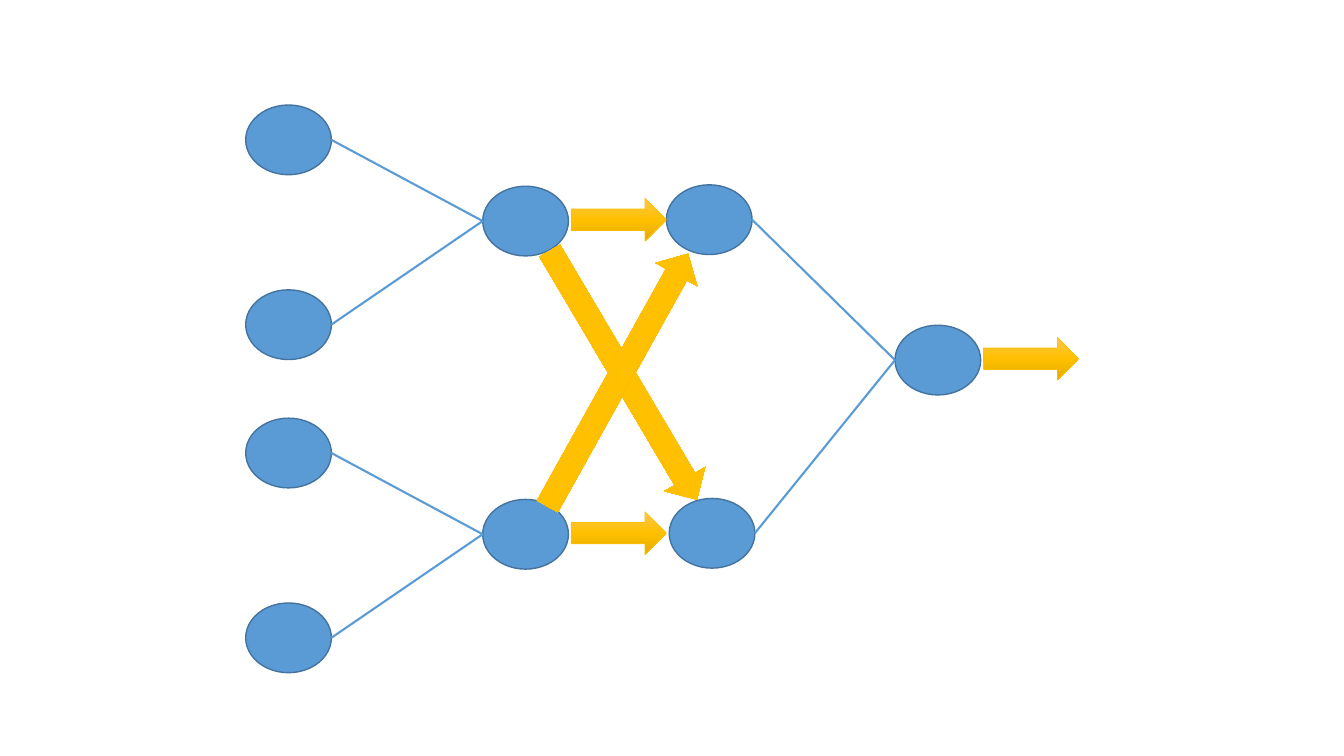
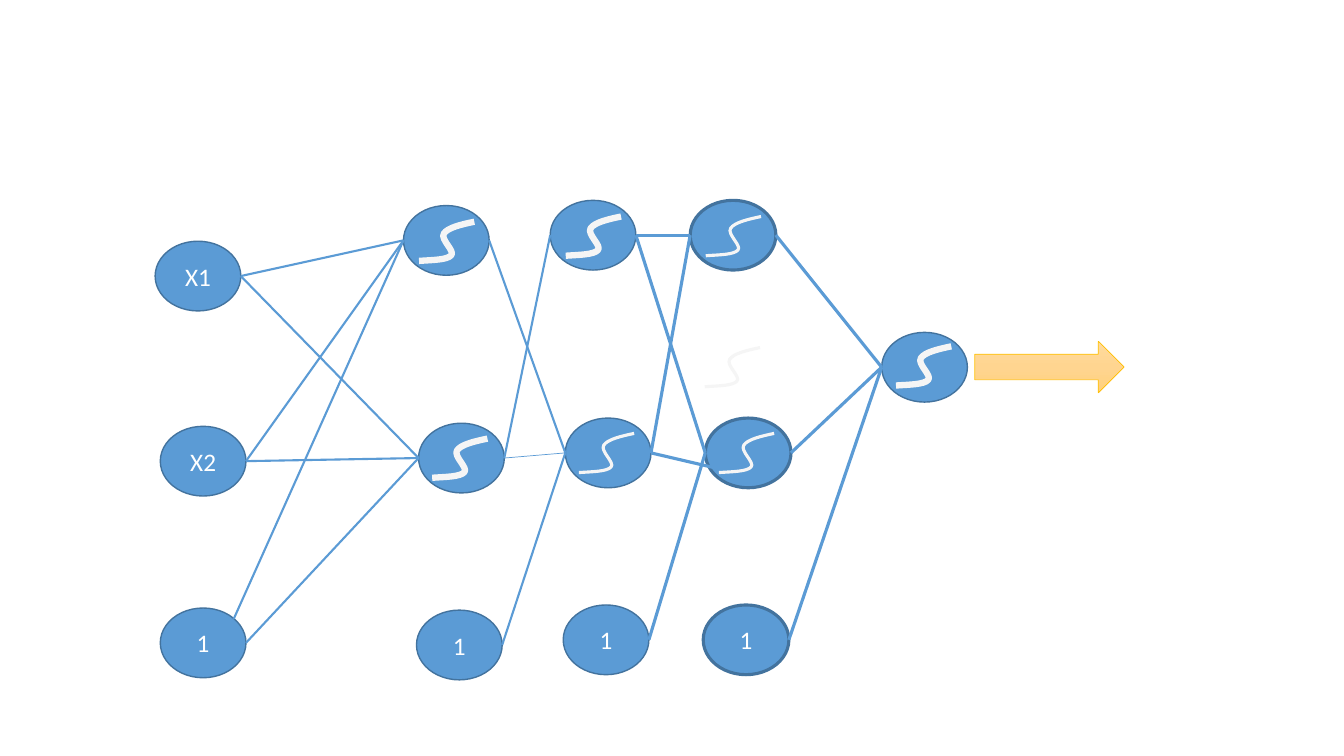
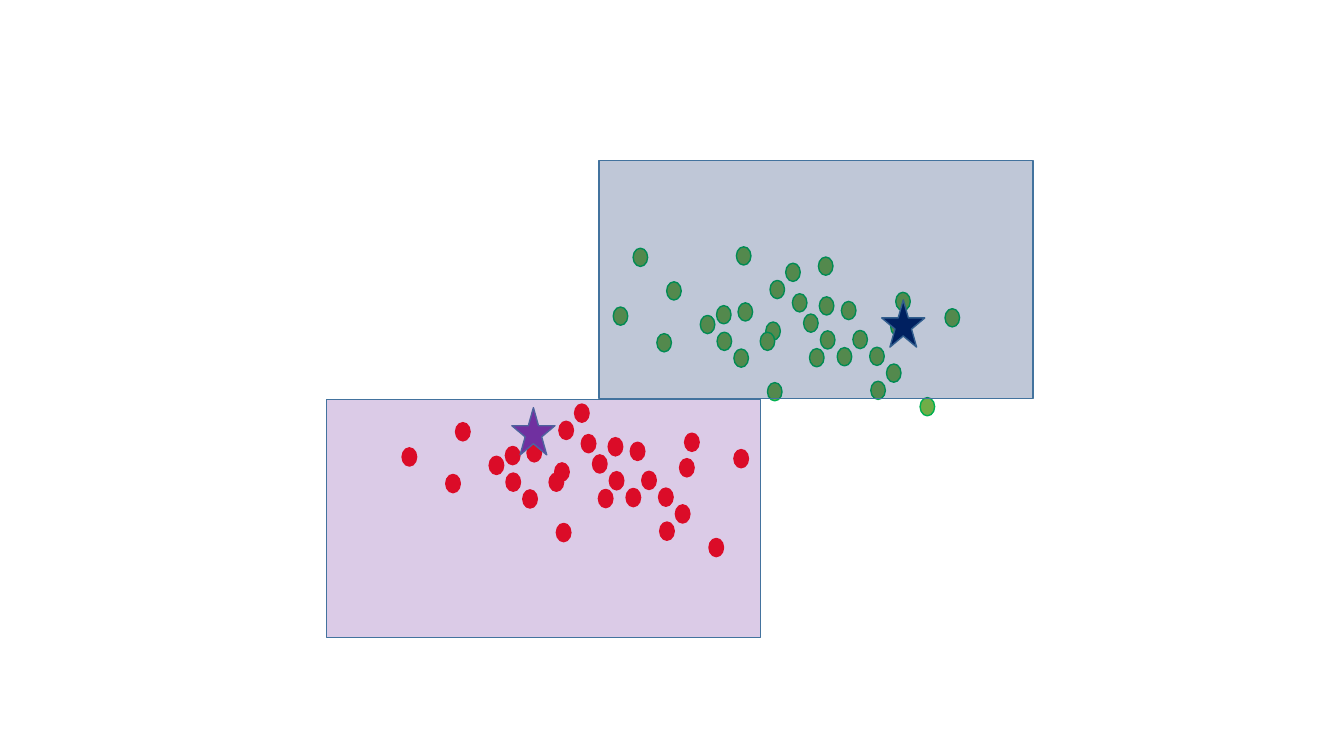
from copy import deepcopy

from pptx import Presentation
from pptx.dml.color import RGBColor
from pptx.enum.shapes import MSO_CONNECTOR as Link, MSO_SHAPE as Preset
from pptx.enum.text import MSO_ANCHOR as Anchor, PP_ALIGN as Align
from pptx.oxml.ns import qn
from pptx.oxml.xmlchemy import OxmlElement
from pptx.util import Pt

# Shared style
BLUE, EDGE, WHITE, PALE = "5B9BD5", "43739E", "FFFFFF", "F5F5F5"
GOLD, GREEN, GREEN_EDGE, RED = "FFC000", "70AD47", "00B050", "FF0000"
PURPLE, NAVY = "7030A0", "002060"
STRONG_GOLD = ("FFC64B", GOLD, "E3AB00")
SOFT_GOLD = ("FFDB9E", "FFD590", "FFD07C")
NODE_W, NODE_H = 61.2, 49.8
DOT_W, DOT_H = 10.4, 13
BOLD_LINE = 2.25

# Sigmoid outline: a start point, then cubic segments of three points
SIGMOID = [(39.5, 0), (30, 2), (20.5, 4.3), (17.8, 8.4), (15, 12.5),
           (26, 21), (23, 24), (20, 27.3), (10, 27.3), (0, 28)]


def color(value):
    return RGBColor.from_string(value)


def write(shape, text, size=18, font="Calibri", ink=WHITE, align=Align.CENTER):
    frame = shape.text_frame
    frame.vertical_anchor = Anchor.MIDDLE
    para = frame.paragraphs[0]
    para.alignment = align
    span = para.add_run()
    span.text = text
    span.font.size = Pt(size)
    span.font.name = font
    span.font.color.rgb = color(ink)


def left(node):
    return node.left.pt, node.top.pt + NODE_H / 2


def right(node):
    return node.left.pt + NODE_W, node.top.pt + NODE_H / 2


def curve_lines(shape):
    """Turn each three line segments of a freeform into one cubic curve."""
    lines = list(shape._element.iter(qn("a:lnTo")))
    for first in range(0, len(lines), 3):
        cubic = OxmlElement("a:cubicBezTo")
        lines[first].addprevious(cubic)
        for line in lines[first:first + 3]:
            cubic.append(line[0])
            line.getparent().remove(line)


class Deck:
    def __init__(self):
        self.file = Presentation()
        self.file.slide_width, self.file.slide_height = Pt(960), Pt(540)
        self.page = None

    def new_page(self):
        self.page = self.file.slides.add_slide(self.file.slide_layouts[6])

    def shape(self, preset, x, y, width, height, fill=None, line=EDGE,
              weight=1, alpha=None):
        box = self.page.shapes.add_shape(preset, Pt(x), Pt(y), Pt(width), Pt(height))
        box.shadow.inherit = False
        box.line.color.rgb = color(line)
        box.line.width = Pt(weight)
        if fill:
            box.fill.solid()
            box.fill.fore_color.rgb = color(fill)
        if alpha:
            mark = OxmlElement("a:alpha")
            mark.set("val", str(alpha * 1000))
            box._element.spPr.find(qn("a:solidFill"))[0].append(mark)
        return box

    def node(self, x, y, text=None, weight=1):
        oval = self.shape(Preset.OVAL, x, y, NODE_W, NODE_H, BLUE, weight=weight)
        if text:
            write(oval, text)
        return oval

    def dot(self, x, y, fill, line):
        self.shape(Preset.OVAL, x, y, DOT_W, DOT_H, fill, line)

    def arrow(self, x, y, width=68, height=30.5, turn=0, shades=STRONG_GOLD):
        box = self.shape(Preset.RIGHT_ARROW, x, y, width, height, line=GOLD, weight=0.5)
        box.rotation = turn
        box.fill.gradient()
        box.fill.gradient_angle = 270
        stops = box._element.spPr.find(".//" + qn("a:gsLst"))
        stops.append(deepcopy(stops[0]))
        for index, stop in enumerate(box.fill.gradient_stops):
            stop.color.rgb = color(shades[index])
            stop.position = index / 2

    def link(self, start, end, weight=1.5):
        line = self.page.shapes.add_connector(
            Link.STRAIGHT, *(Pt(value) for value in (*start, *end)))
        line.line.color.rgb = color(BLUE)
        line.line.width = Pt(weight)
        line._element.spPr.append(OxmlElement("a:effectLst"))

    def join(self, starts, ends, weight=1.5):
        """Link the right side of each start to the left side of each end."""
        for start in starts:
            for end in ends:
                self.link(right(start), left(end), weight)

    def sigmoid(self, x, y, weight):
        points = [(Pt(x + dx), Pt(y + dy)) for dx, dy in SIGMOID]
        builder = self.page.shapes.build_freeform(*points[0])
        builder.add_line_segments(points[1:], close=False)
        curve = builder.convert_to_shape()
        curve_lines(curve)
        curve.shadow.inherit = False
        curve.fill.background()
        curve.line.color.rgb = color(PALE)
        curve.line.width = Pt(weight)

    def sigmoid_in(self, node, dx, dy, weight):
        self.sigmoid(node.left.pt + dx, node.top.pt + dy, weight)


def build_simple_network(deck):
    deck.new_page()
    # Two groups of two inputs and a hidden node
    hidden = []
    for top in (75, 298.7):
        inputs = [deck.node(175.5, top + gap) for gap in (0, 132)]
        hidden.append(deck.node(344.8, top + 58))
        deck.join(inputs, hidden[-1:])
    # Crossed layer and output
    crossed = [deck.node(476, 132), deck.node(478, 356)]
    output = deck.node(639.3, 232.3)
    deck.join(crossed, [output])
    # Flow arrows
    for x, y in ((408, 141.7), (408, 365.6), (702.5, 241)):
        deck.arrow(x, y)
    for x, y, turn in ((342, 251, 59.4), (338, 254.5, 299.1)):
        deck.arrow(x, y, 206.5, 34, turn)


def build_sigmoid_network(deck):
    deck.new_page()
    # Inputs, then three layers of upper, lower and bias node
    x1, x2, bias = [deck.node(x, y, text) for x, y, text in (
        (110.8, 172.3, "X1"), (114.5, 304.5, "X2"), (114.5, 434.3, "1"))]
    layers = [
        [deck.node(x + dx, y + dy, text, weight)
         for dx, dy, text in ((0, 0, None), (10.8, 155.5, None), (9.3, 289, "1"))]
        for x, y, weight in ((288.2, 146.8, 1), (393, 143.1, 1), (493, 143.1, BOLD_LINE))]
    (up1, low1, bias1), (up2, low2, bias2), (up3, low3, bias3) = layers
    output = deck.node(629.8, 237.4)
    # Links
    deck.join([x1, x2], [up1, low1])
    deck.link((167, 442), left(up1))
    deck.join([bias], [low1])
    deck.join([up1, bias1], [low2])
    deck.join([low1], [up2])
    deck.join([low1], [low2], 0.5)
    deck.join([up2], [up3, low3], BOLD_LINE)
    deck.join([low2], [up3], BOLD_LINE)
    deck.link(right(low2), (516.2, 335.5), BOLD_LINE)
    deck.join([bias2], [low3], BOLD_LINE)
    deck.join([up3, low3, bias3], [output], BOLD_LINE)
    # Activation curves
    for node, weight in ((up1, 4.5), (up2, 4.5), (up3, BOLD_LINE)):
        deck.sigmoid_in(node, 11.1, 11.6, weight)
    for node, weight in ((low1, 4.5), (low2, BOLD_LINE), (low3, BOLD_LINE)):
        deck.sigmoid_in(node, 9.7, 11, weight)
    deck.sigmoid_in(output, 10.2, 10, 4.5)
    deck.sigmoid(503.4, 248.3, BOLD_LINE)
    deck.arrow(696.3, 243.8, 106.6, 36.7, shades=SOFT_GOLD)


def build_clusters(deck):
    deck.new_page()
    # Each cluster repeats one clump of dots three times
    clump = [(0, 0), (24, 24), (17, 61), (48, 48), (60, 60),
             (72, 72), (-14.2, 42), (96, 96), (75, 39), (113.8, 32.5)]
    shifts = [(0, 0), (-35.2, -11.7), (-109, -10.7)]
    for x, y, fill, line, skipped in ((561.2, 188, GREEN, GREEN_EDGE, 0),
                                      (410.4, 288.6, RED, RED, 1)):
        for index, (shift_x, shift_y) in enumerate(shifts):
            for dx, dy in clump[skipped if index else 0:]:
                deck.dot(x + shift_x + dx, y + shift_y + dy, fill, line)
    deck.dot(584.6, 183.6, GREEN, GREEN_EDGE)
    # Centres, then the translucent regions over them
    for x, y, fill in ((365.6, 291.2, PURPLE), (629.8, 214.2, NAVY)):
        deck.shape(Preset.STAR_5_POINT, x, y, 30.8, 33.8, fill)
    for x, y, fill in ((233.2, 285.5, PURPLE), (427.8, 114.5, NAVY)):
        deck.shape(Preset.RECTANGLE, x, y, 310.2, 170, fill, alpha=25)


def main():
    deck = Deck()
    build_simple_network(deck)
    build_sigmoid_network(deck)
    build_clusters(deck)
    deck.file.save("out.pptx")


if __name__ == "__main__":
    main()
